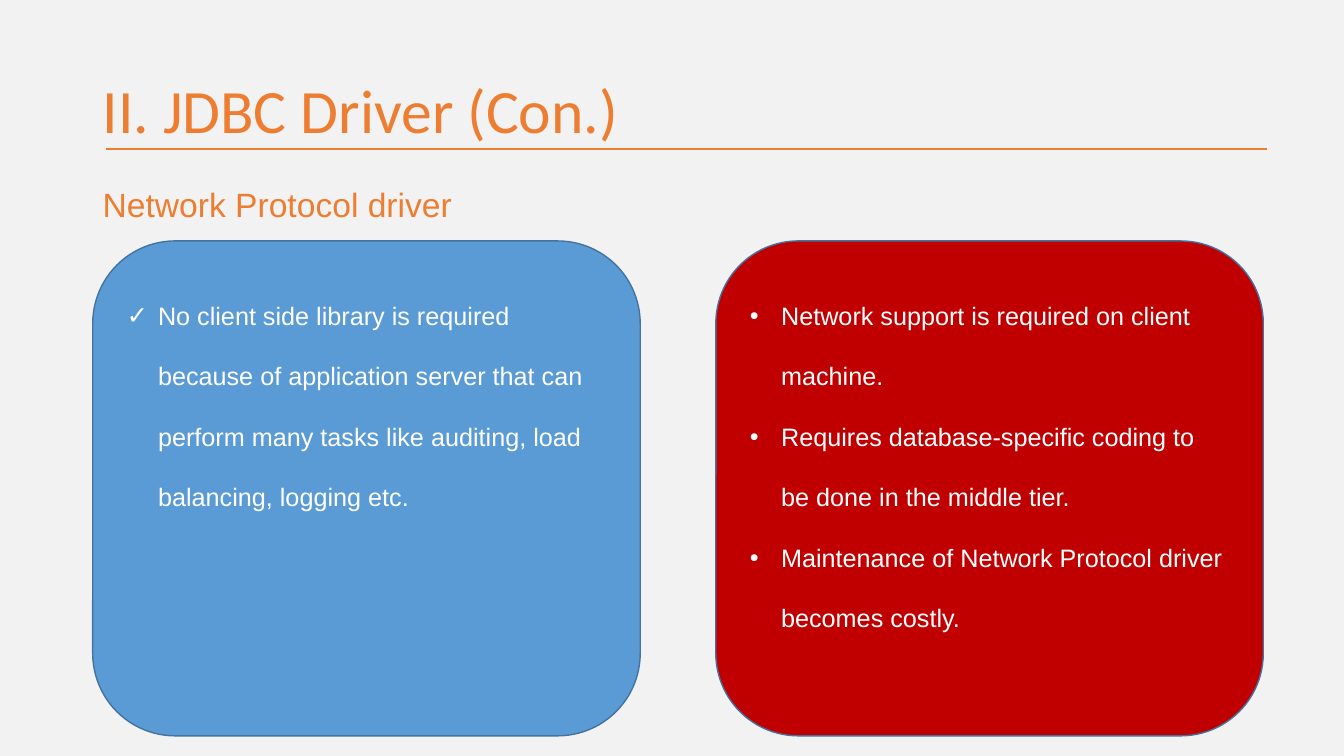
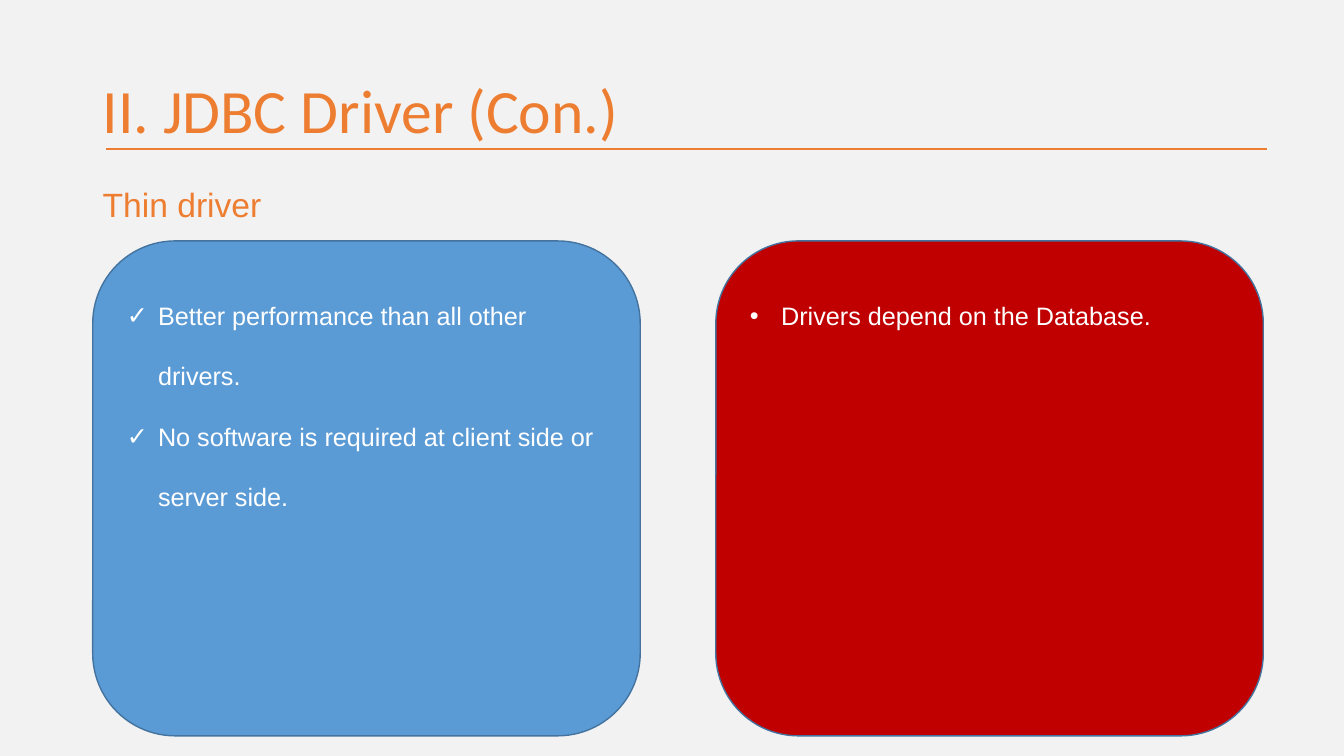
from dataclasses import dataclass
from lxml import etree
from pptx import Presentation
from pptx.dml.color import RGBColor
from pptx.enum.shapes import MSO_CONNECTOR, MSO_SHAPE
from pptx.enum.text import MSO_ANCHOR, PP_ALIGN
from pptx.oxml.ns import qn
from pptx.util import Inches, Pt

LINE = MSO_CONNECTOR.STRAIGHT
ROUND = MSO_SHAPE.ROUNDED_RECTANGLE
TOP, MIDDLE = MSO_ANCHOR.TOP, MSO_ANCHOR.MIDDLE
LEFT = PP_ALIGN.LEFT


@dataclass
class Theme:
    back: str = "F2F2F2"
    accent: str = "ED7D31"
    pro: str = "5B9BD5"
    con: str = "C00000"
    edge: str = "43739E"
    light: str = "FFFFFF"
    head: str = "Calibri"
    body: str = "Arial"
    title: int = 44
    topic: int = 24
    item: int = 18


theme = Theme()
rgb = RGBColor.from_string

# Grid: side margin, full width, two cards at equal steps
MARGIN, WIDTH = 0.92, 11.5
CARD_TOP, CARD_W, CARD_H, STEP = 2.39, 5.43, 4.91, 6.18
INDENT = Inches(0.31)
TITLE = "II. JDBC Driver (Con.)"

# Topic, benefits, drawbacks
pages = [
    ("Network Protocol driver",
     ["No client side library is required because of application server "
      "that can perform many tasks like auditing, load balancing, "
      "logging etc."],
     ["Network support is required on client machine.",
      "Requires database-specific coding to be done in the middle tier.",
      "Maintenance of Network Protocol driver becomes costly."]),
    ("Thin driver",
     ["Better performance than all other drivers.",
      "No software is required at client side or server side."],
     ["Drivers depend on the Database."]),
]


def write(shape, lines, font, size, color, spacing, anchor=TOP):
    frame = shape.text_frame
    frame.word_wrap = True
    frame.vertical_anchor = anchor
    for i, line in enumerate(lines):
        para = frame.add_paragraph() if i else frame.paragraphs[0]
        para.alignment = LEFT
        para.line_spacing = spacing
        run = para.add_run()
        run.text = line
        run.font.name = font
        run.font.size = Pt(size)
        run.font.color.rgb = rgb(color)
    return frame.paragraphs


deck = Presentation()
deck.slide_width, deck.slide_height = Inches(13.33), Inches(7.5)

for topic, pros, cons in pages:
    slide = deck.slides.add_slide(deck.slide_layouts[6])
    slide.background.fill.solid()
    slide.background.fill.fore_color.rgb = rgb(theme.back)
    shapes = slide.shapes

    # Rule under the title
    rule = shapes.add_connector(
        LINE, Inches(1.05), Inches(1.48), Inches(12.57), Inches(1.48))
    rule.line.color.rgb = rgb(theme.accent)
    rule.line.width = Pt(1.5)
    etree.SubElement(rule._element.spPr, qn("a:effectLst"))

    # Title and topic
    box = shapes.add_textbox(
        Inches(MARGIN), Inches(0.4), Inches(WIDTH), Inches(1.45))
    write(box, [TITLE], theme.head, theme.title, theme.accent, 0.9, MIDDLE)
    box = shapes.add_textbox(
        Inches(MARGIN), Inches(1.58), Inches(WIDTH), Inches(5.71))
    paras = write(box, [topic], theme.body, theme.topic, theme.accent, 1.5)
    paras[0].space_before = Pt(10)

    # Cards: benefits on the left, drawbacks on the right
    cards = [(pros, theme.pro, "\u2713"), (cons, theme.con, "\u2022")]
    for col, (items, fill, mark) in enumerate(cards):
        card = shapes.add_shape(
            ROUND, Inches(MARGIN + col * STEP), Inches(CARD_TOP),
            Inches(CARD_W), Inches(CARD_H))
        card.shadow.inherit = False
        card.fill.solid()
        card.fill.fore_color.rgb = rgb(fill)
        card.line.color.rgb = rgb(theme.edge)
        card.line.width = Pt(1)
        for para in write(card, items, theme.body, theme.item,
                          theme.light, 2.0):
            props = para._p.get_or_add_pPr()
            props.set("marL", str(INDENT))
            props.set("indent", str(-INDENT))
            etree.SubElement(props, qn("a:buFont"), typeface=theme.body)
            etree.SubElement(props, qn("a:buChar"), char=mark)

deck.save("out.pptx")
